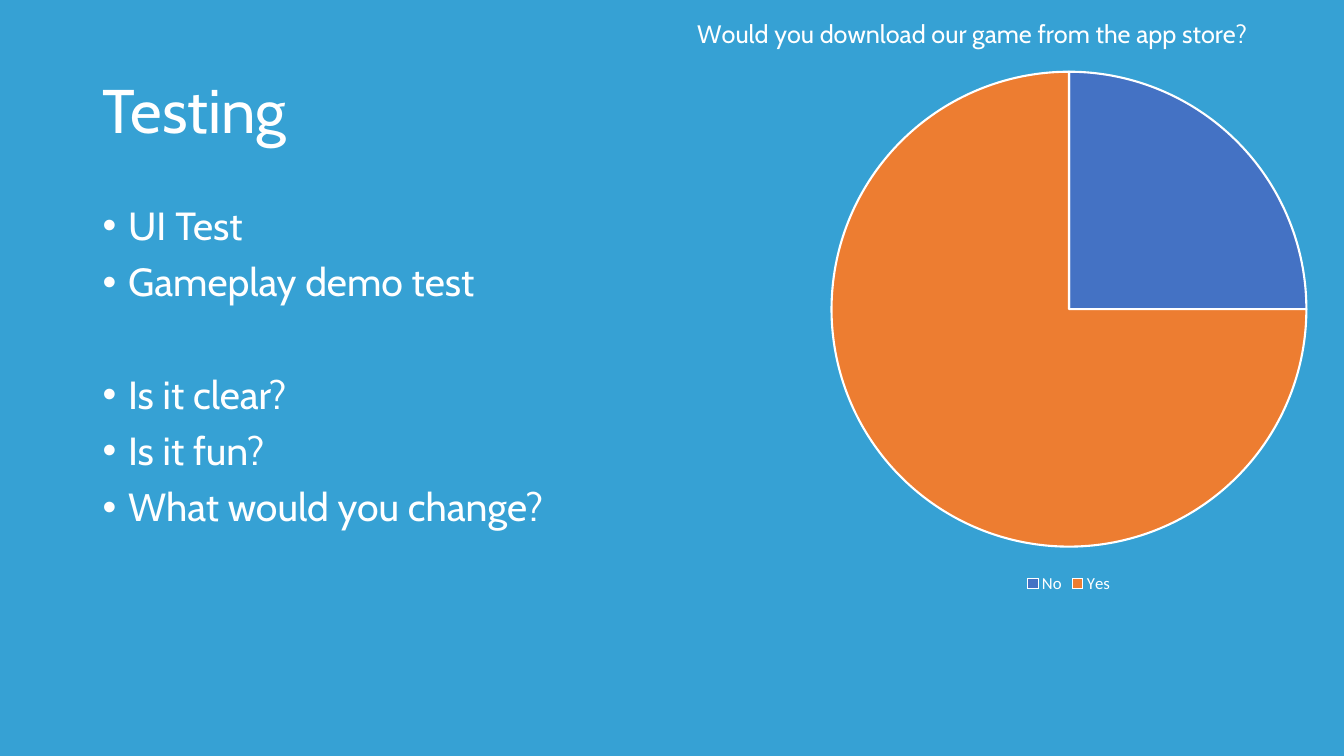
from dataclasses import dataclass

from lxml.etree import SubElement
from pptx import Presentation
from pptx.chart.data import CategoryChartData
from pptx.dml.color import RGBColor
from pptx.enum.chart import XL_CHART_TYPE, XL_LEGEND_POSITION
from pptx.enum.text import MSO_ANCHOR
from pptx.oxml.ns import qn
from pptx.util import Cm, Pt


@dataclass(frozen=True)
class Theme:
    background: RGBColor = RGBColor(0x36, 0xA1, 0xD4)
    text: RGBColor = RGBColor(0xFF, 0xFF, 0xFF)
    no_slice: RGBColor = RGBColor(0x44, 0x72, 0xC4)
    yes_slice: RGBColor = RGBColor(0xED, 0x7D, 0x31)
    font: str = "Cabin"
    legend_font: str = "Calibri"
    title_size: Pt = Pt(44)
    body_size: Pt = Pt(28)
    chart_title_size: Pt = Pt(18)
    legend_size: Pt = Pt(12)


THEME = Theme()


def style_font(font, size, name=THEME.font):
    font.name = name
    font.size = size
    font.bold = False
    font.color.rgb = THEME.text


def write_text(para, text, *, size, space_before=0, bullet=False):
    if bullet:
        properties = para._p.get_or_add_pPr()
        properties.set("marL", str(Cm(0.64)))
        properties.set("indent", str(-Cm(0.64)))
        SubElement(properties, qn("a:buFont"), typeface="Arial")
        SubElement(properties, qn("a:buChar"), char="•")
    para.line_spacing = 0.9
    para.space_before = Pt(space_before)
    span = para.add_run()
    span.text = text
    style_font(span.font, size)


def add_text_box(page, left, top, width, height, anchor=MSO_ANCHOR.TOP):
    box = page.shapes.add_textbox(Cm(left), Cm(top), Cm(width), Cm(height))
    box.text_frame.word_wrap = True
    box.text_frame.vertical_anchor = anchor
    return box.text_frame


def add_bullets(frame, groups):
    """Write the bullets, with one empty line's height between groups."""
    para = None
    for group in groups:
        for position, text in enumerate(group):
            if para is None:
                para, gap = frame.paragraphs[0], 0
            else:
                para, gap = frame.add_paragraph(), 10 if position else 50
            write_text(para, text, size=THEME.body_size, space_before=gap, bullet=True)


def place_chart_part(part, index, **fractions):
    """Fix a chart part's place by fractions of the chart's size."""
    for old_layout in part.findall(qn("c:layout")):
        part.remove(old_layout)
    layout = SubElement(part, qn("c:layout"))
    part.insert(index, layout)
    manual = SubElement(layout, qn("c:manualLayout"))
    if "w" in fractions:
        SubElement(manual, qn("c:layoutTarget"), val="inner")
    for axis in ("x", "y"):
        SubElement(manual, qn(f"c:{axis}Mode"), val="edge")
    for key, value in fractions.items():
        SubElement(manual, qn(f"c:{key}"), val=str(value))


def add_pie(page, title, answers, colors, left, top, width, height):
    data = CategoryChartData()
    data.categories = list(answers)
    data.add_series("Series 1", list(answers.values()))
    chart = page.shapes.add_chart(
        XL_CHART_TYPE.PIE, Cm(left), Cm(top), Cm(width), Cm(height), data
    ).chart
    style_font(chart.font, THEME.legend_size, THEME.legend_font)

    chart.has_title = True
    write_text(
        chart.chart_title.text_frame.paragraphs[0], title, size=THEME.chart_title_size
    )
    place_chart_part(chart.chart_title._element, 1, x=0.08, y=0.02)

    chart.has_legend = True
    chart.legend.position = XL_LEGEND_POSITION.BOTTOM
    chart.legend.include_in_layout = False
    style_font(chart.legend.font, THEME.legend_size, THEME.legend_font)

    plot = chart.plots[0]
    plot.vary_by_categories = True
    for index, color in enumerate(colors):
        slice_format = plot.series[0].points[index].format
        slice_format.fill.solid()
        slice_format.fill.fore_color.rgb = color
        slice_format.line.color.rgb = THEME.text
        slice_format.line.width = Pt(1.5)
    plot_area = chart._chartSpace.chart.plotArea
    place_chart_part(plot_area, 0, x=0.235, y=0.12, w=0.53, h=0.795)


def main():
    deck = Presentation()
    deck.slide_width, deck.slide_height = Cm(33.87), Cm(19.05)
    page = deck.slides.add_slide(deck.slide_layouts[6])
    page.background.fill.solid()
    page.background.fill.fore_color.rgb = THEME.background

    heading = add_text_box(page, 2.34, 1.02, 29.21, 3.68, MSO_ANCHOR.MIDDLE)
    write_text(heading.paragraphs[0], "Testing", size=THEME.title_size)

    add_bullets(
        add_text_box(page, 2.34, 5.08, 29.21, 12.09),
        [
            ["UI Test", "Gameplay demo test"],
            ["Is it clear?", "Is it fun?", "What would you change?"],
        ],
    )

    add_pie(
        page,
        "Would you download our game from the app store?",
        {"No": 25, "Yes": 75},
        [THEME.no_slice, THEME.yes_slice],
        15.65, 0, 22.58, 15.06,
    )
    deck.save("out.pptx")


if __name__ == "__main__":
    main()
